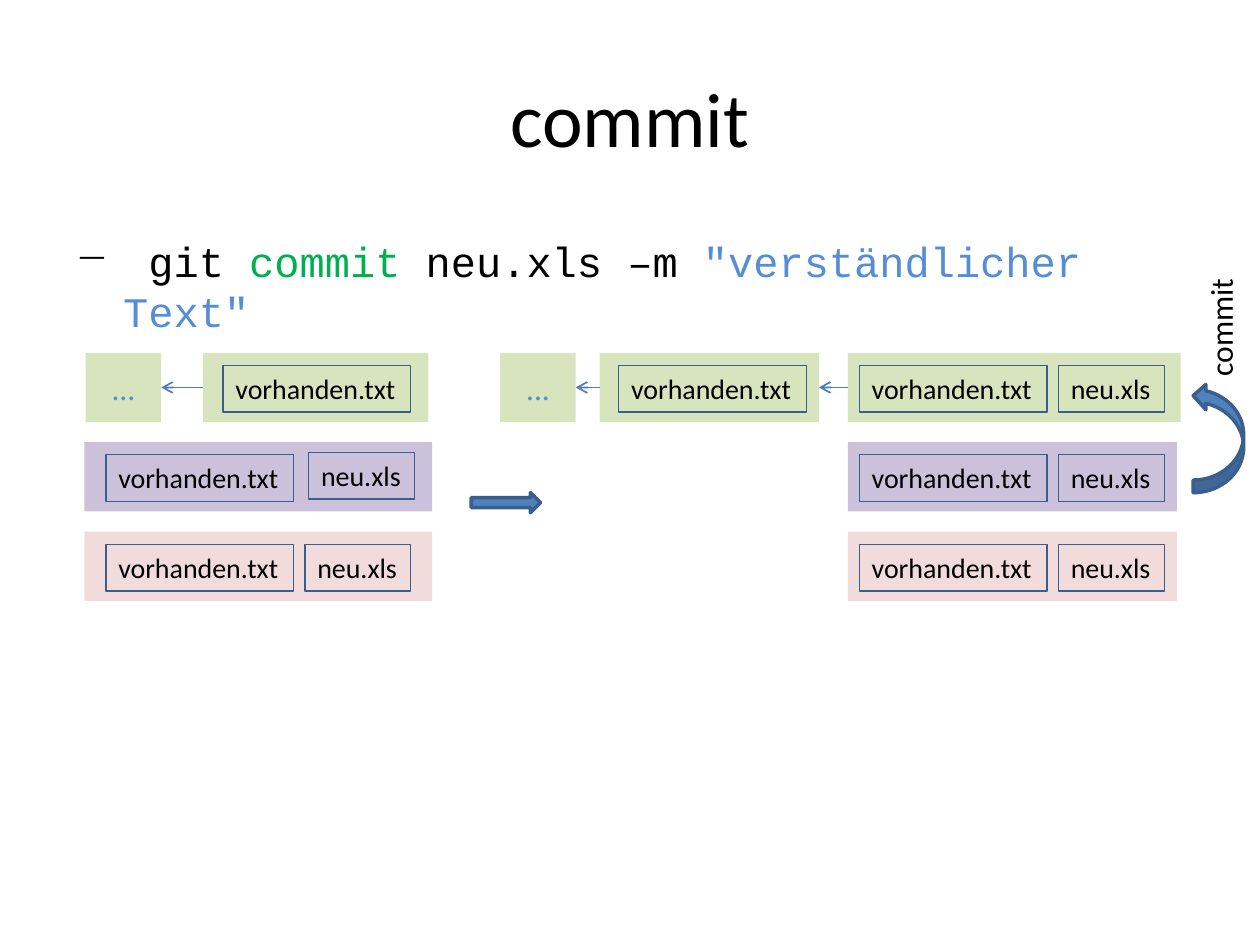
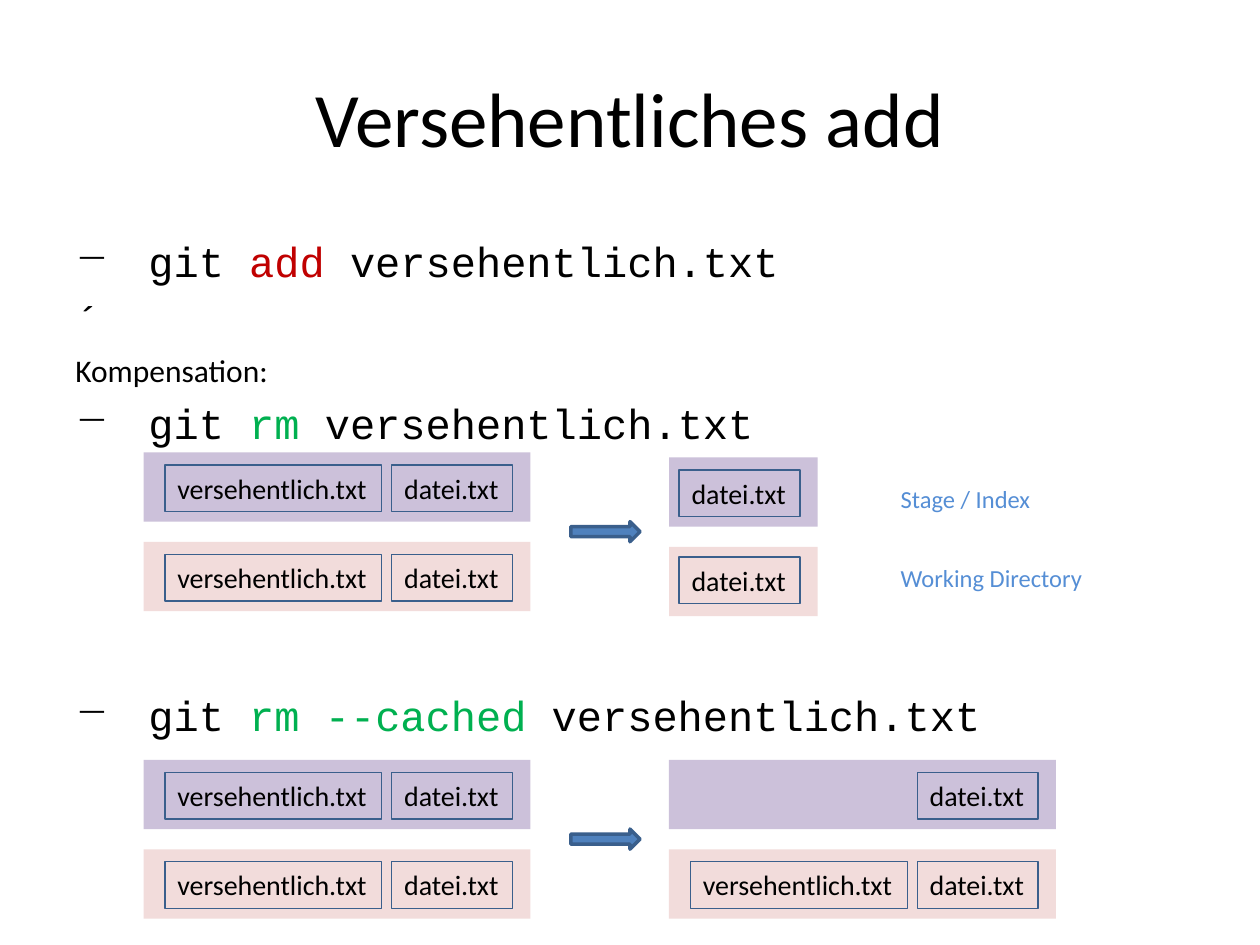
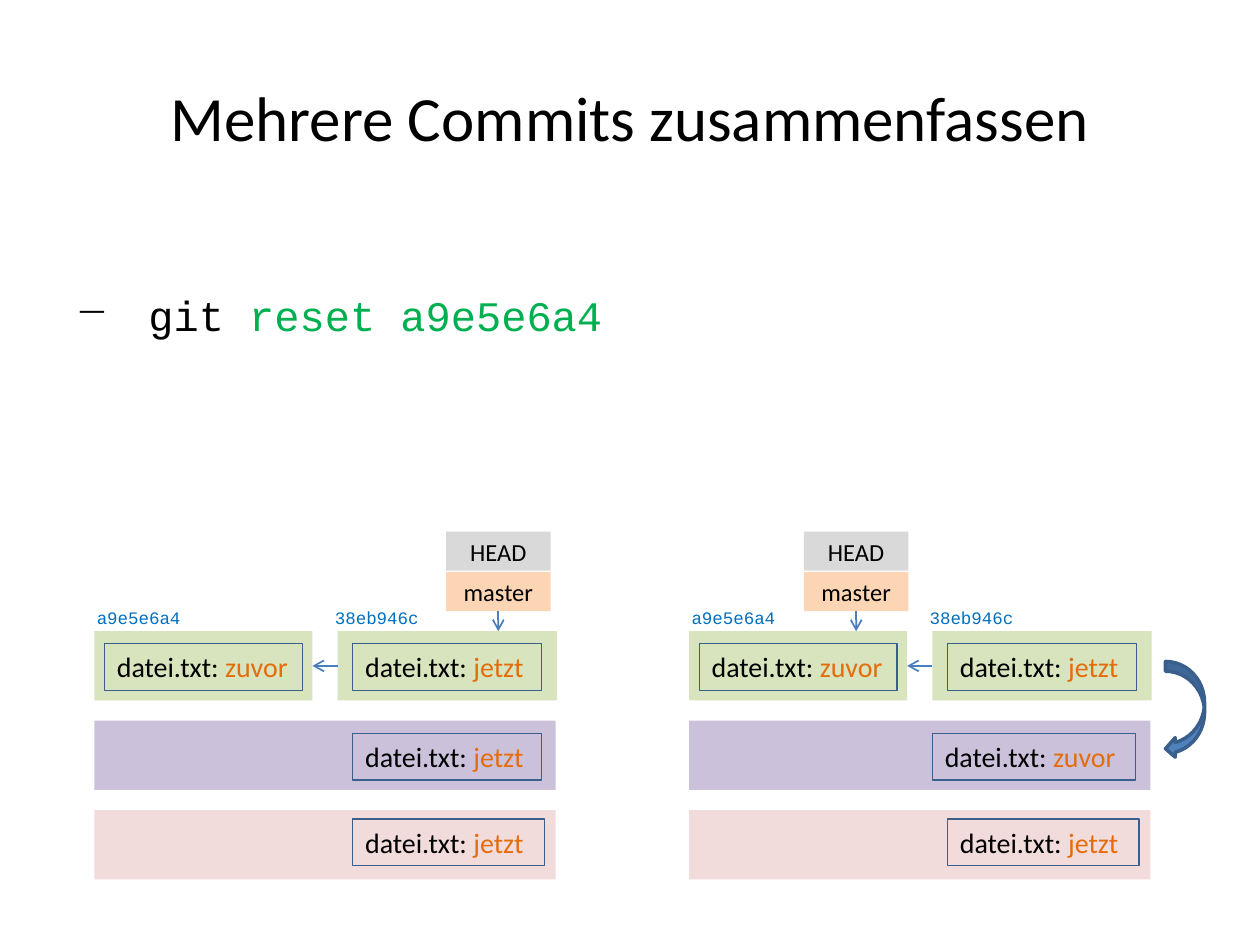
from dataclasses import dataclass

from lxml.etree import SubElement
from pptx import Presentation
from pptx.dml.color import RGBColor
from pptx.enum.shapes import MSO_CONNECTOR, MSO_SHAPE
from pptx.enum.text import MSO_ANCHOR, PP_ALIGN
from pptx.oxml.ns import qn
from pptx.util import Inches, Pt

COLORS = {
    "ink": "000000", "green": "00B050", "red": "C00000", "sky": "558ED5",
    "hash": "0070C0", "orange": "E46C0A", "commit": "D7E4BD", "stage": "CCC1DA",
    "work": "F2DCDB", "branch": "FCD5B5", "head": "D9D9D9", "arrow": "4F81BD",
    "outline": "3A5F8C", "link": "4B7EBC",
}
SANS, MONO = "Calibri", "Courier New"
ROWS = ("commit", "stage", "work")
ROW_PITCH, BAR_H, FILE_H, TAG_H = 0.71, 0.55, 0.37, 0.31
FILE_W = {
    "vorhanden.txt": 1.49, "neu.xls": 0.84, "versehentlich.txt": 1.72,
    "datei.txt": 0.96, "datei.txt: jetzt": 1.5, "datei.txt: zuvor": 1.57,
}


@dataclass(frozen=True)
class Run:
    text: str
    color: str = "ink"


@dataclass(frozen=True)
class Line:
    runs: tuple
    size: float = 24
    font: str = MONO
    bullet: bool = False


@dataclass(frozen=True)
class File:
    x: float
    name: str
    state: str = ""
    dy: float = 0.1
    extra: float = 0


@dataclass(frozen=True)
class Bar:
    row: str
    x: float
    w: float
    files: tuple = ()
    text: str = ""


def command(*runs):
    return Line((Run(" git "),) + runs, bullet=True)


def color(key: str) -> RGBColor:
    return RGBColor.from_string(COLORS[key])


def write(tf, lines: tuple, align=PP_ALIGN.LEFT, anchor=MSO_ANCHOR.TOP, wrap=True) -> None:
    tf.word_wrap = wrap
    tf.vertical_anchor = anchor
    for i, line in enumerate(lines):
        p = tf.add_paragraph() if i else tf.paragraphs[0]
        p.alignment = align
        p.space_before = Pt(line.size * 0.2 if i else 0)
        if line.bullet:
            pPr = p._p.get_or_add_pPr()
            pPr.set("marL", str(Inches(0.38)))
            pPr.set("indent", str(Inches(-0.38)))
            SubElement(pPr, qn("a:buChar")).set("char", "−")
        for run in line.runs:
            r = p.add_run()
            r.text = run.text
            r.font.name = line.font
            r.font.size = Pt(line.size)
            r.font.color.rgb = color(run.color)


def text_box(s, x: float, y: float, w: float, h: float, *lines: Line, wrap=True):
    sp = s.shapes.add_textbox(Inches(x), Inches(y), Inches(w), Inches(h))
    write(sp.text_frame, lines, wrap=wrap)
    return sp


def shape(s, x: float, y: float, w: float, h: float, fill="", line_pt=0.0, kind=MSO_SHAPE.RECTANGLE):
    sp = s.shapes.add_shape(kind, Inches(x), Inches(y), Inches(w), Inches(h))
    sp.shadow.inherit = False
    if fill:
        sp.fill.solid()
        sp.fill.fore_color.rgb = color(fill)
    else:
        sp.fill.background()
    if line_pt:
        sp.line.color.rgb = color("outline")
        sp.line.width = Pt(line_pt)
    else:
        sp.line.fill.background()
    return sp


def arrow(s, x: float, y: float, w: float, h: float, kind=MSO_SHAPE.RIGHT_ARROW):
    return shape(s, x, y, w, h, "arrow", 2, kind)


def link(s, start, side: int, end_x: float, end_y: float, target=None) -> None:
    c = s.shapes.add_connector(MSO_CONNECTOR.STRAIGHT, 0, 0, Inches(end_x), Inches(end_y))
    c.begin_connect(start, side)
    if target is not None:
        c.end_connect(target, 3)
    c.line.color.rgb = color("link")
    c.line.width = Pt(1)
    SubElement(c.line._get_or_add_ln(), qn("a:tailEnd")).set("type", "arrow")
    SubElement(c._element.spPr, qn("a:effectLst"))


def draw_file(s, file: File, y: float) -> None:
    name = f"{file.name}: {file.state}" if file.state else file.name
    sp = shape(s, file.x, y + file.dy, FILE_W[name] + file.extra, FILE_H, line_pt=0.75)
    runs = (Run(file.name),)
    if file.state:
        runs = (Run(file.name + ": "), Run(file.state, "orange"))
    write(sp.text_frame, (Line(runs, 16, SANS),), wrap=bool(file.state))


def draw_bars(s, top: float, bars: tuple) -> None:
    commits = []
    for bar in bars:
        y = top + ROWS.index(bar.row) * ROW_PITCH
        sp = shape(s, bar.x, y, bar.w, BAR_H, bar.row)
        if bar.text:
            write(sp.text_frame, (Line((Run(bar.text, "sky"),), 18, SANS),),
                  PP_ALIGN.CENTER, MSO_ANCHOR.MIDDLE)
        for file in bar.files:
            draw_file(s, file, y)
        if bar.row == "commit":
            commits.append(sp)
    for older, newer in zip(commits, commits[1:]):
        link(s, newer, 1, 0, 0, older)


def draw_head(s, x: float, commit_y: float) -> None:
    for i, (name, fill) in enumerate((("HEAD", "head"), ("master", "branch"))):
        sp = shape(s, x, commit_y - 0.79 + i * 0.32, 0.83, TAG_H, fill)
        write(sp.text_frame, (Line((Run(name),), 14, SANS),), PP_ALIGN.CENTER, MSO_ANCHOR.MIDDLE)
    link(s, sp, 2, x + 0.415, commit_y)


def title_slide(prs, title: str, size=44):
    s = prs.slides.add_slide(prs.slide_layouts[5])
    sp = s.shapes.title
    sp.left, sp.top, sp.width, sp.height = Inches(0.5), Inches(0.3), Inches(9), Inches(1.25)
    write(sp.text_frame, (Line((Run(title),), size, SANS),), PP_ALIGN.CENTER, MSO_ANCHOR.MIDDLE)
    return s


def commit_slide(prs) -> None:
    s = title_slide(prs, "commit")
    text_box(s, 0.5, 1.82, 9, 0.9, command(
        Run("commit ", "green"), Run("neu.xls –m "), Run('"verständlicher Text"', "sky")))
    old, new = "vorhanden.txt", "neu.xls"
    both = (File(6.82, old), File(8.4, new))
    draw_bars(s, 2.8, (
        Bar("commit", 0.68, 0.6, text="..."),
        Bar("commit", 1.61, 1.79, (File(1.77, old),)),
        Bar("stage", 0.67, 2.76, (File(0.84, old), File(2.45, new, dy=0.08))),
        Bar("work", 0.67, 2.76, (File(0.84, old), File(2.42, new))),
    ))
    draw_bars(s, 2.8, (
        Bar("commit", 3.97, 0.6, text="..."),
        Bar("commit", 4.76, 1.74, (File(4.91, old),)),
        Bar("commit", 6.73, 2.64, both),
        Bar("stage", 6.73, 2.61, both),
        Bar("work", 6.73, 2.61, both),
    ))
    arrow(s, 3.74, 3.91, 0.55, 0.16)
    arrow(s, 9.47, 3.04, 0.4, 0.87, MSO_SHAPE.CURVED_RIGHT_ARROW).rotation = 180
    text_box(s, 9.19, 2.39, 0.99, 0.4, Line((Run("commit"),), 18, SANS), wrap=False).rotation = 270


def add_slide(prs) -> None:
    s = title_slide(prs, "Versehentliches add")
    wrong, kept = "versehentlich.txt", "datei.txt"
    text_box(s, 0.5, 1.82, 9, 1.8,
             command(Run("add ", "red"), Run(wrong)),
             Line((Run("´"),)),
             Line((Run("Kompensation:"),), 18, SANS),
             command(Run("rm ", "green"), Run(wrong)))
    text_box(s, 0.5, 5.42, 9, 0.48, command(Run("rm --cached ", "green"), Run(wrong)))
    before = (File(1.31, wrong), File(3.11, kept))
    for top in (2.88, 5.32):
        draw_bars(s, top, tuple(Bar(row, 1.14, 3.07, before) for row in ROWS[1:]))
        arrow(s, 4.53, top + 1.26, 0.55, 0.16)
    draw_bars(s, 2.92, (
        Bar("stage", 5.31, 1.18, (File(5.39, kept),)),
        Bar("work", 5.31, 1.18, (File(5.39, kept, dy=0.08),)),
    ))
    draw_bars(s, 5.32, (
        Bar("stage", 5.31, 3.07, (File(7.28, kept),)),
        Bar("work", 5.31, 3.07, (File(5.48, wrong), File(7.28, kept))),
    ))
    for y, w, name in ((3.79, 1.24, "Stage / Index"), (4.42, 1.66, "Working Directory")):
        text_box(s, 7.05, y, w, 0.34, Line((Run(name, "sky"),), 14, SANS), wrap=False)


def reset_slide(prs) -> None:
    s = title_slide(prs, "Mehrere Commits zusammenfassen", 36)
    text_box(s, 0.5, 2.25, 9, 0.48, command(Run("reset a9e5e6a4", "green")))
    top, name = 5.01, "datei.txt"
    panels = (
        (0.75, 3.54, File(2.8, name, "jetzt")),
        (5.47, 6.38, File(7.4, name, "zuvor", extra=0.04)),
    )
    for x, head_x, staged in panels:
        draw_bars(s, top, (
            Bar("commit", x, 1.73, (File(x + 0.08, name, "zuvor"),)),
            Bar("commit", x + 1.93, 1.74, (File(x + 2.05, name, "jetzt"),)),
            Bar("stage", x, 3.66, (staged,)),
            Bar("work", x, 3.66, (File(x + 2.05, name, "jetzt", dy=0.07, extra=0.02),)),
        ))
        draw_head(s, head_x, top)
        for dx, commit_id in ((-0.08, "a9e5e6a4"), (1.81, "38eb946c")):
            text_box(s, x + dx, 4.77, 0.87, 0.27, Line((Run(commit_id, "hash"),), 10))
    arrow(s, 9.25, 5.25, 0.31, 0.77, MSO_SHAPE.CURVED_LEFT_ARROW)


def main() -> None:
    prs = Presentation()
    prs.slide_width, prs.slide_height = Inches(10), Inches(7.5)
    commit_slide(prs)
    add_slide(prs)
    reset_slide(prs)
    prs.save("out.pptx")


if __name__ == "__main__":
    main()
